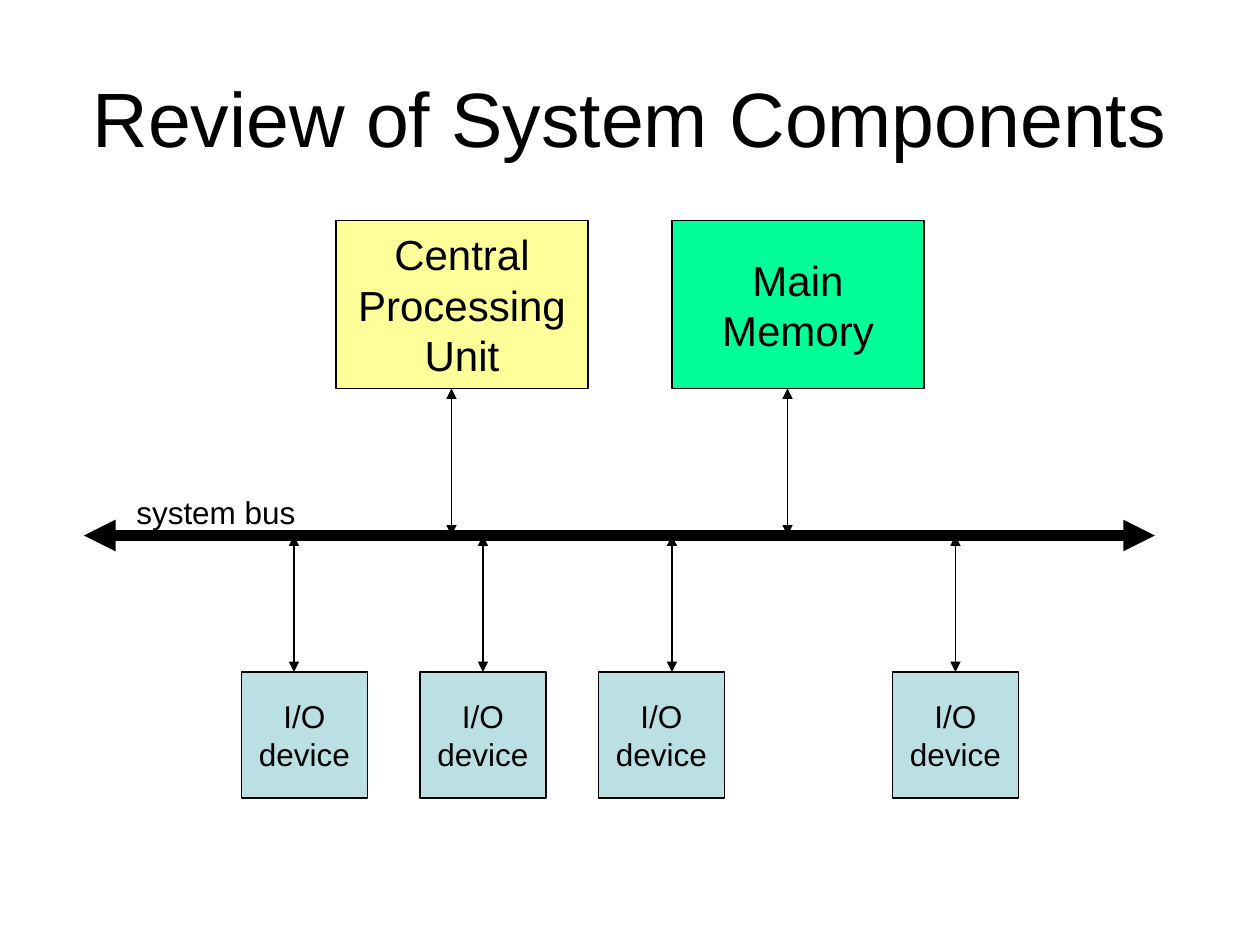
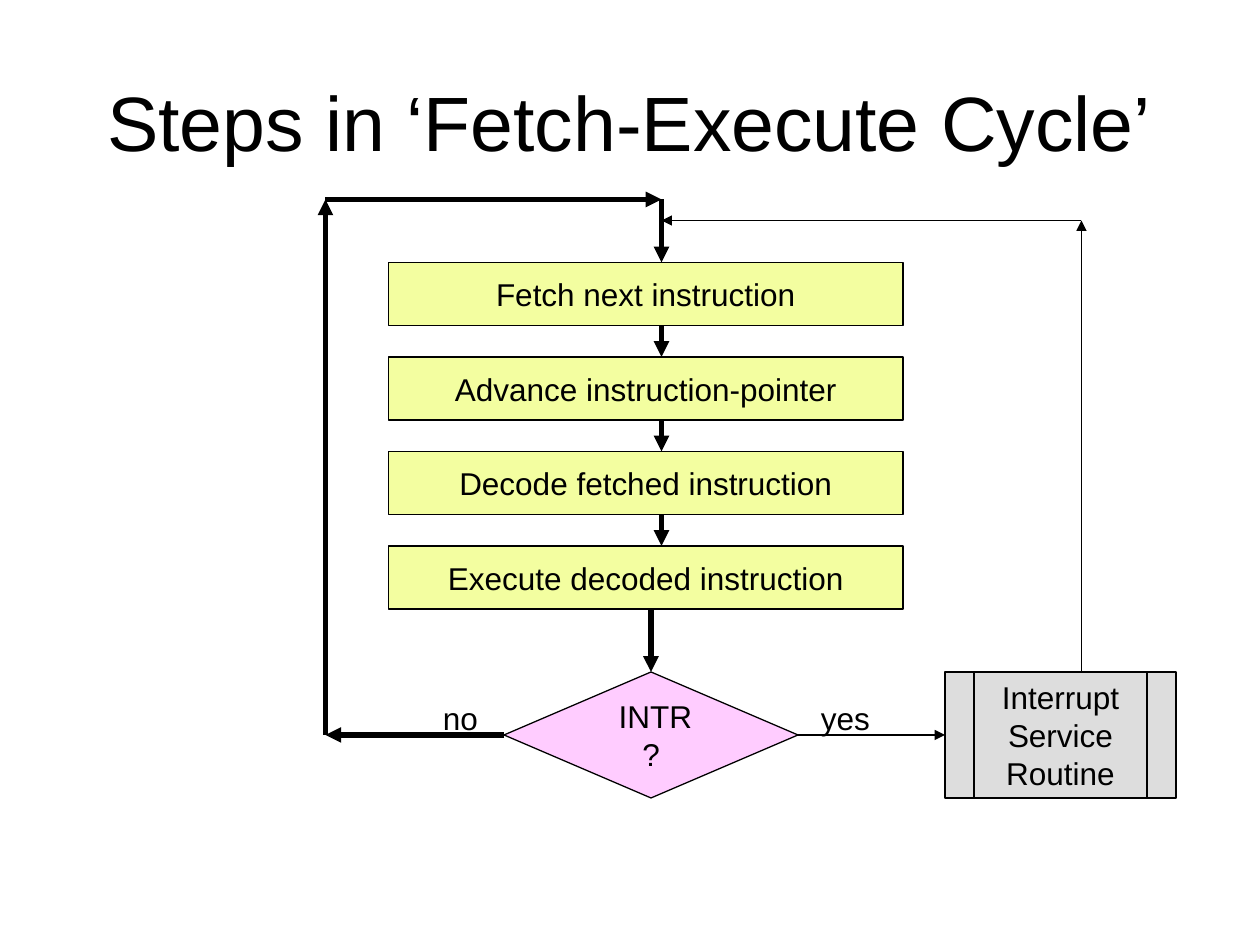
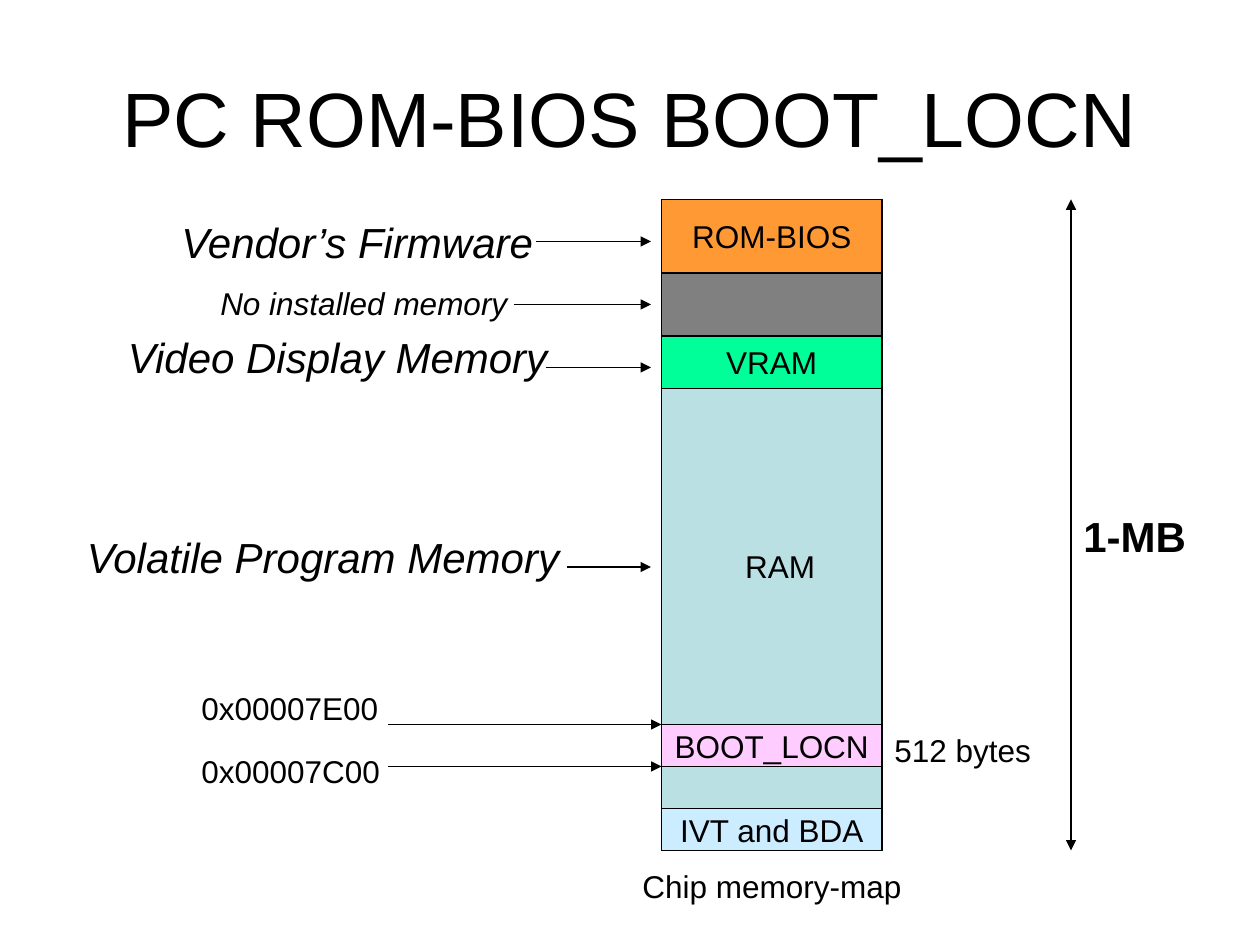
from dataclasses import dataclass

from lxml.etree import SubElement
from pptx import Presentation
from pptx.dml.color import RGBColor as Rgb
from pptx.enum.shapes import MSO_CONNECTOR as Conn, MSO_SHAPE as Form
from pptx.enum.text import MSO_ANCHOR as Anchor, MSO_AUTO_SIZE as Fit, PP_ALIGN as Align
from pptx.oxml.ns import qn
from pptx.util import Pt

PX = 7620


@dataclass(frozen=True)
class Theme:
    """Colours, type sizes and line weights of the deck."""
    font: str = "Arial"
    ink: str = "000000"
    cream: str = "FFFF99"
    lime: str = "F3FEA0"
    green: str = "00FF99"
    teal: str = "BBE0E3"
    pink: str = "FFCCFF"
    silver: str = "DDDDDD"
    grey: str = "808080"
    orange: str = "FF9933"
    sky: str = "CCECFF"
    title: int = 44
    large: int = 24
    body: int = 18
    thin: float = 0.75
    bold: float = 3
    bus: float = 6


T = Theme()


def put(item, **vals):
    """Set each given value on the item."""
    for name, val in vals.items():
        setattr(item, name, val)


def paint(part, color):
    """Give a fill or a line one solid colour."""
    part.solid()
    part.fore_color.rgb = Rgb.from_string(color)


def write(frame, text, size, align, **style):
    """Write one paragraph per line of text."""
    frame.text = text
    for para in frame.paragraphs:
        para.alignment = align
        for run in para.runs:
            put(run.font, name=T.font, size=Pt(size), **style)
            run.font.color.rgb = Rgb.from_string(T.ink)


@dataclass
class Area:
    """A region of a slide that places parts from its own corner."""
    slide: object
    left: int
    top: int

    def spot(self, x, y):
        """Turn a point of the area into slide lengths."""
        return (self.left + x) * PX, (self.top + y) * PX

    def block(self, x, y, wide, high, fill, text="", size=T.body, form=Form.RECTANGLE):
        """Draw an outlined shape with centred text."""
        shape = self.slide.shapes.add_shape(form, *self.spot(x, y), wide * PX, high * PX)
        shape.shadow.inherit = False
        paint(shape.fill, fill)
        paint(shape.line.fill, T.ink)
        shape.line.width = Pt(T.thin)
        put(shape.text_frame, word_wrap=False, vertical_anchor=Anchor.MIDDLE)
        if text:
            write(shape.text_frame, text, size, Align.CENTER)

    def label(self, x, y, wide, text, size=T.body, **style):
        """Place a one-line label."""
        high = 60 if size == T.large else 48
        box = self.slide.shapes.add_textbox(*self.spot(x, y), wide * PX, high * PX)
        put(box.text_frame, word_wrap=False, auto_size=Fit.SHAPE_TO_FIT_TEXT)
        write(box.text_frame, text, size, Align.LEFT, **style)

    def arrow(self, start, end, width=T.thin, both=False):
        """Draw an arrow with one or two heads."""
        link = self.slide.shapes.add_connector(
            Conn.STRAIGHT, *self.spot(*start), *self.spot(*end))
        paint(link.line.fill, T.ink)
        link.line.width = Pt(width)
        props = link.element.spPr
        line = props.find(qn("a:ln"))
        for tag in ("a:headEnd", "a:tailEnd") if both else ("a:tailEnd",):
            SubElement(line, qn(tag), type="triangle")
        SubElement(props, qn("a:effectLst"))


def start(deck, text, top=36):
    """Add a blank slide with a title."""
    slide = deck.slides.add_slide(deck.slide_layouts[6])
    box = slide.shapes.add_textbox(60 * PX, top * PX, 1080 * PX, 150 * PX)
    put(box.text_frame, word_wrap=True, vertical_anchor=Anchor.MIDDLE)
    write(box.text_frame, text, T.title, Align.CENTER)
    return slide


def core(area):
    """Draw the processor and memory with their bus links."""
    parts = (("Central\nProcessing\nUnit", T.cream), ("Main\nMemory", T.green))
    for i, (text, fill) in enumerate(parts):
        x = 320 * i
        area.block(x, 0, 240, 160, fill, text, T.large)
        area.arrow((x + 110, 160), (x + 110, 300), both=True)


def ports(area):
    """Draw the devices below the bus with their links."""
    for x, link in ((0, 50), (170, 230), (340, 410), (620, 680)):
        area.block(x, 130, 120, 120, T.teal, "I/O\ndevice")
        area.arrow((link, 0), (link, 130), both=True)


def bus(area):
    """Draw the system bus and its name."""
    area.arrow((0, 46), (1020, 46), T.bus, both=True)
    area.label(38, 0, 179, "system bus")


def steps(area):
    """Draw the four steps, each with the arrow that leads in."""
    names = ("Fetch next instruction", "Advance instruction-pointer",
             "Decode fetched instruction", "Execute decoded instruction")
    for i, name in enumerate(names):
        y = 60 + 90 * i
        area.block(0, y, 490, 60, T.lime, name, form=Form.FLOWCHART_PROCESS)
        area.arrow((260, y - 30 if i else 0), (260, y), T.bold)


def loop(area):
    """Draw the interrupt test and the way back to the first step."""
    area.block(170, 450, 280, 120, T.pink, " INTR\n?", form=Form.FLOWCHART_DECISION)
    area.arrow((310, 390), (310, 450), T.bold)
    area.label(100, 470, 58, "no")
    path = ((170, 510), (0, 510), (0, 0), (320, 0))
    for a, b in zip(path, path[1:]):
        area.arrow(a, b, T.bold)


def service(area):
    """Draw the interrupt routine and its links."""
    area.block(270, 430, 220, 120, T.silver, "Interrupt\nService\nRoutine",
               form=Form.FLOWCHART_PREDEFINED_PROCESS)
    area.label(140, 450, 71, "yes")
    for a, b in (((130, 490), (270, 490)), ((400, 430), (400, 0)), ((400, 0), (0, 0))):
        area.arrow(a, b)


def stack(area):
    """Draw the memory map and its captions."""
    bands = ((0, 620, T.teal, ""), (0, 70, T.orange, "ROM-BIOS"), (70, 60, T.grey, ""),
             (130, 50, T.green, "VRAM"), (500, 40, T.pink, "BOOT_LOCN"),
             (580, 40, T.sky, "IVT and BDA"))
    for y, high, fill, text in bands:
        area.block(0, y, 210, high, fill, text)
    area.label(68, 325, 94, "RAM")
    area.label(210, 500, 154, "512 bytes")
    area.label(-30, 630, 276, "Chip memory-map")


def notes(area):
    """Label the bands and addresses and point to them."""
    kinds = ((90, 10, 371, "Vendor’s Firmware", T.large, 439, 40),
             (127, 75, 298, "No installed memory", T.body, 419, 100),
             (39, 120, 424, "Video Display Memory", T.large, 449, 160),
             (0, 310, 475, "Volatile Program Memory", T.large, 469, 350))
    for x, y, wide, text, size, tail, line in kinds:
        area.label(x, y, wide, text, size, italic=True)
        area.arrow((tail, line), (549, line))
    for y, line, text in ((460, 500, "0x00007E00"), (520, 540, "0x00007C00")):
        area.label(109, y, 197, text)
        area.arrow((299, line), (559, line))


def span(area):
    """Measure the whole map."""
    area.arrow((0, 0), (0, 620), both=True)
    area.label(0, 290, 125, "1-MB", T.large, bold=True)


def main():
    """Build and save the deck."""
    deck = Presentation()
    put(deck, slide_width=1200 * PX, slide_height=900 * PX)
    pages = (
        ("Review of System Components", 36,
         ((core, 320, 210), (ports, 230, 510), (bus, 80, 464))),
        ("Steps in ‘Fetch-Execute Cycle’", 40,
         ((steps, 370, 190), (loop, 310, 190), (service, 630, 210))),
        ("PC ROM-BIOS BOOT_LOCN", 36,
         ((stack, 630, 190), (notes, 71, 190), (span, 1020, 190))),
    )
    for title, top, parts in pages:
        slide = start(deck, title, top)
        for draw, x, y in parts:
            draw(Area(slide, x, y))
    deck.save("out.pptx")


if __name__ == "__main__":
    main()
